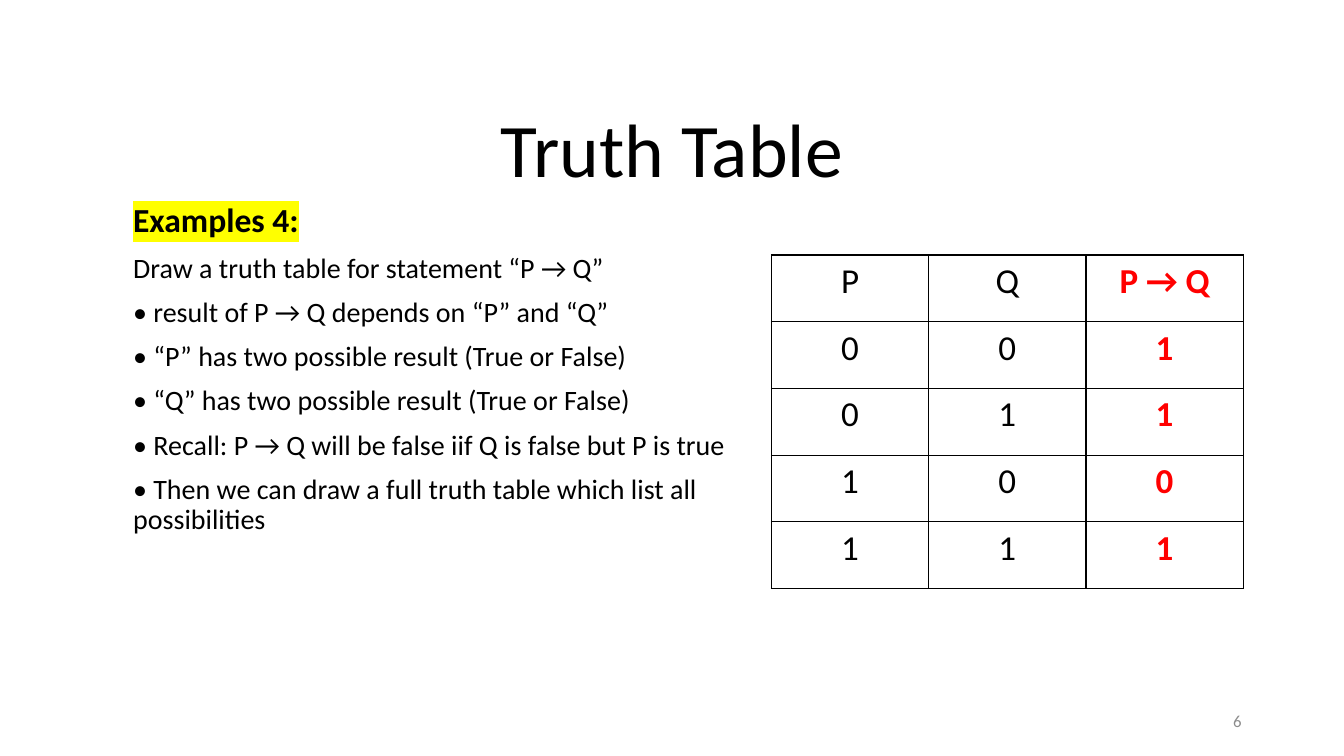
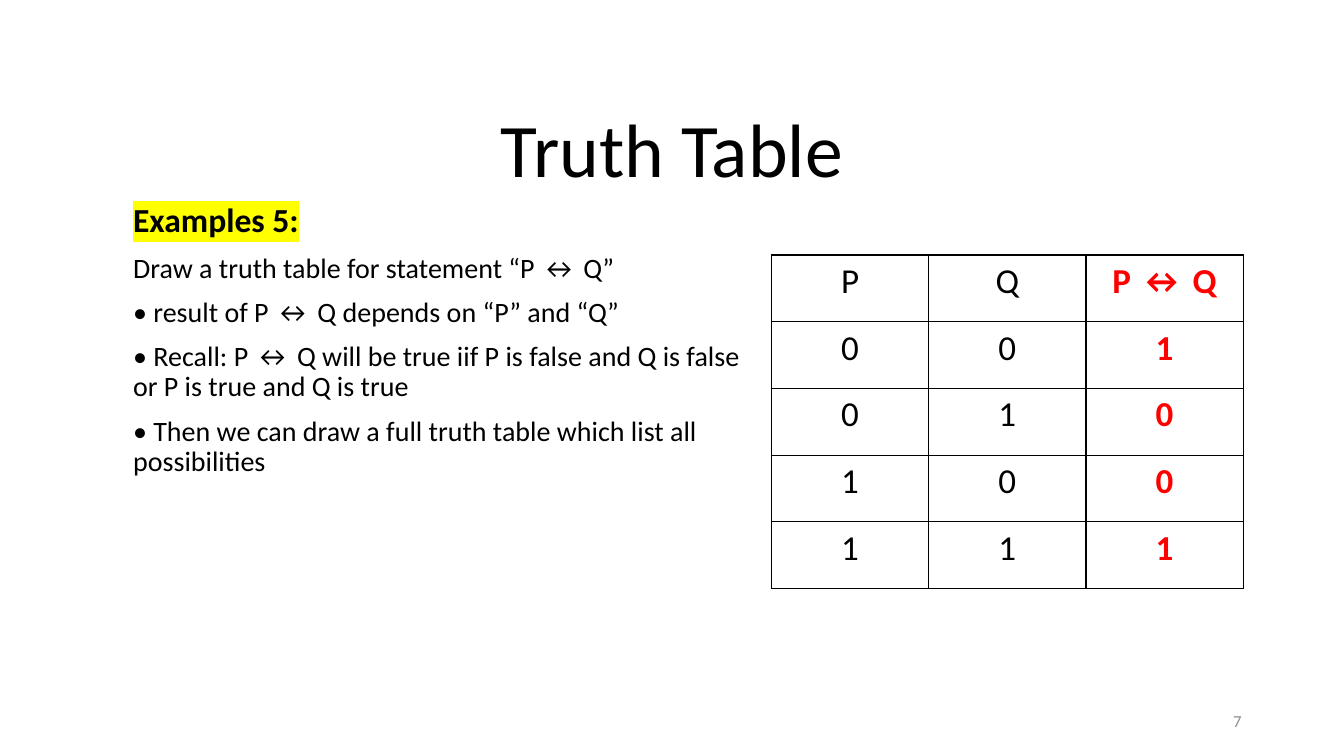
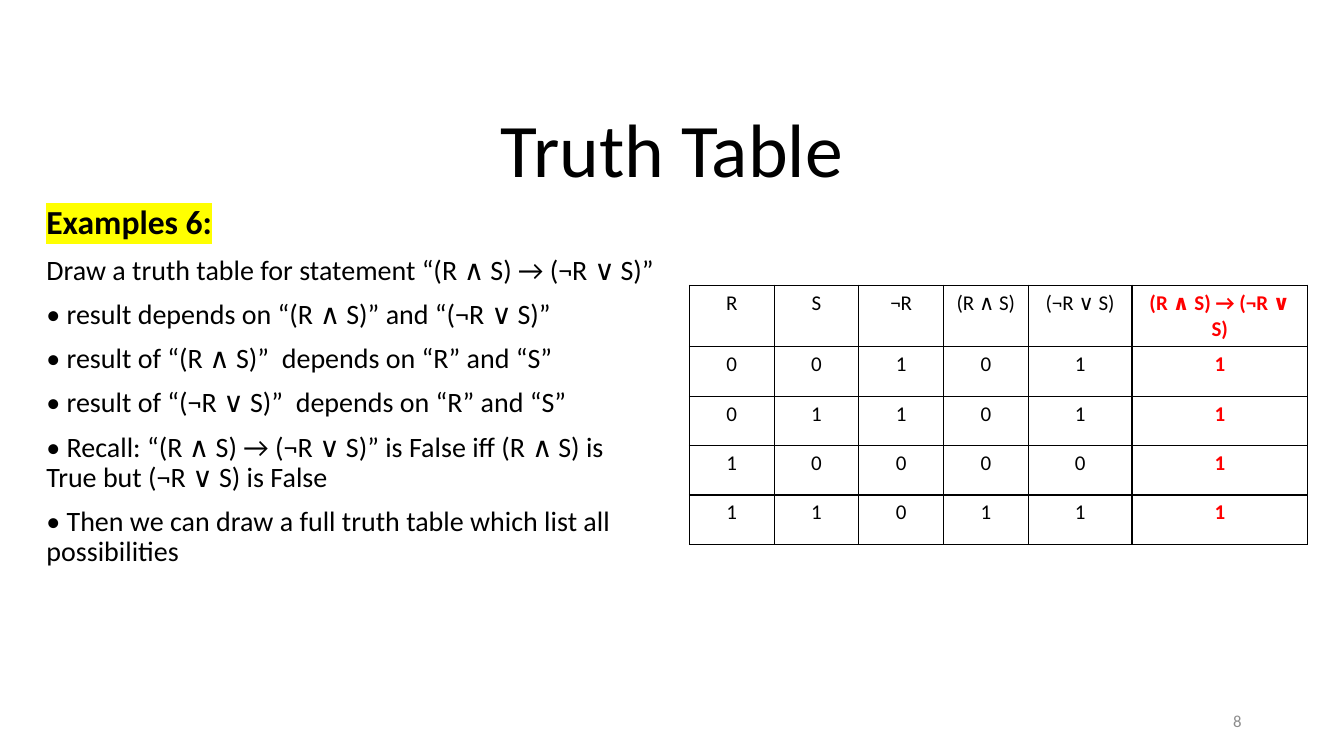
from lxml.etree import SubElement
from pptx import Presentation
from pptx.dml.color import RGBColor
from pptx.enum.text import MSO_ANCHOR, MSO_AUTO_SIZE, PP_ALIGN
from pptx.oxml import parse_xml
from pptx.oxml.ns import nsdecls, qn
from pptx.util import Inches, Pt

WIDTH, HEIGHT = Inches(13.333), Inches(7.5)
FONT = "Calibri"
BLACK = RGBColor(0x00, 0x00, 0x00)
RED = RGBColor(0xFF, 0x00, 0x00)
GREY = RGBColor(0x8C, 0x8C, 0x8C)
YELLOW = RGBColor(0xFF, 0xFF, 0x00)

# Areas are left, top, width, height in percent of the slide.
TITLE_AREA = (12.5, 16.4, 75, 9.87)
NUMBER_AREA = (70.63, 92.67, 22.5, 5.33)
CLOSING = "• Then we can draw a full truth table which list all possibilities"

SIMPLE_LAYOUT = {
    "body_area": (9.15, 26.27, 47.1, 57.33),
    "table_area": (57.4, 33.73, 35.1, 44.13),
    "columns": (1, 1, 1),
    "rows": (1, 1, 1, 1, 1),
    "size": 25,
}
WIDE_LAYOUT = {
    "body_area": (2.7, 26.53, 47.1, 57.33),
    "table_area": (51.3, 37.73, 46, 34.27),
    "columns": (0.84, 0.84, 0.84, 0.84, 1.03, 1.74),
    "rows": (0.61, 0.49, 0.49, 0.49, 0.49),
    "size": 15,
}

EXAMPLES = [
    {
        "number": 4,
        "lines": [
            "Draw a truth table for statement “P → Q”",
            "• result of P → Q depends on “P” and “Q”",
            "• “P” has two possible result (True or False)",
            "• “Q” has two possible result (True or False)",
            "• Recall: P → Q will be false iif Q is false but P is true",
        ],
        "header": ["P", "Q", "P → Q"],
        "values": ["001", "011", "100", "111"],
        "layout": SIMPLE_LAYOUT,
    },
    {
        "number": 5,
        "lines": [
            "Draw a truth table for statement “P ↔ Q”",
            "• result of P ↔ Q depends on “P” and “Q”",
            "• Recall: P ↔ Q will be true iif P is false and Q is false "
            "or P is true and Q is true",
        ],
        "header": ["P", "Q", "P ↔ Q"],
        "values": ["001", "010", "100", "111"],
        "layout": SIMPLE_LAYOUT,
    },
    {
        "number": 6,
        "lines": [
            "Draw a truth table for statement “(R ∧ S) → (¬R ∨ S)”",
            "• result depends on “(R ∧ S)” and “(¬R ∨ S)”",
            "• result of “(R ∧ S)”  depends on “R” and “S”",
            "• result of “(¬R ∨ S)”  depends on “R” and “S”",
            "• Recall: “(R ∧ S) → (¬R ∨ S)” is False iff (R ∧ S) is True "
            "but (¬R ∨ S) is False",
        ],
        "header": ["R", "S", "¬R", "(R ∧ S)", "(¬R ∨ S)", "(R ∧ S) → (¬R ∨ S)"],
        "values": ["001011", "011011", "100001", "110111"],
        "layout": WIDE_LAYOUT,
    },
]


def place(area):
    """Turn percentages of the slide into lengths."""
    return [round(share * side / 100)
            for share, side in zip(area, (WIDTH, HEIGHT, WIDTH, HEIGHT))]


def move(box, area):
    """Put a shape on an area of the slide."""
    box.left, box.top, box.width, box.height = place(area)


def set_frame(frame, anchor):
    """Give a text frame wrapping, a fixed size and an anchor."""
    frame.word_wrap = True
    frame.auto_size = MSO_AUTO_SIZE.NONE
    frame.vertical_anchor = anchor


def add_span(para, text, size, color=BLACK, bold=False):
    """Append one formatted run to a paragraph."""
    span = para.add_run()
    span.text = text
    span.font.name = FONT
    span.font.size = Pt(size)
    span.font.bold = bold
    span.font.color.rgb = color
    return span


def highlight(span, color):
    """Mark a run with a background colour."""
    mark = parse_xml(f'<a:highlight {nsdecls("a")}><a:srgbClr val="{color}"/></a:highlight>')
    span.font._element.find(qn("a:solidFill")).addnext(mark)


def add_title(page):
    """Fill the title placeholder."""
    box = page.shapes.title
    move(box, TITLE_AREA)
    set_frame(box.text_frame, MSO_ANCHOR.BOTTOM)
    para = box.text_frame.paragraphs[0]
    para.alignment = PP_ALIGN.CENTER
    para.line_spacing = 0.9
    add_span(para, "Truth Table", 54)


def add_body(page, heading, lines, area):
    """Fill the body placeholder with a marked heading and its lines."""
    box = page.placeholders[1]
    move(box, area)
    frame = box.text_frame
    set_frame(frame, MSO_ANCHOR.TOP)
    for index, text in enumerate([heading, *lines]):
        para = frame.add_paragraph() if index else frame.paragraphs[0]
        para.alignment = PP_ALIGN.LEFT
        para.line_spacing = 0.9
        para.space_before = Pt(10)
        if index:
            add_span(para, text, 20)
        else:
            highlight(add_span(para, text, 24, bold=True), YELLOW)


def add_borders(cell):
    """Draw a thin black line on each side of a cell."""
    properties = cell._tc.get_or_add_tcPr()
    for index, side in enumerate(("lnL", "lnR", "lnT", "lnB")):
        line = parse_xml(f'<a:{side} {nsdecls("a")} w="{Pt(1)}"/>')
        fill = SubElement(line, qn("a:solidFill"))
        SubElement(fill, qn("a:srgbClr"), val=str(BLACK))
        properties.insert(index, line)


def add_truth_table(page, header, values, layout):
    """Add a bordered table whose last column holds the red results."""
    grid = [header, *values]
    left, top, width, height = place(layout["table_area"])
    table = page.shapes.add_table(len(grid), len(header), left, top, width, height).table
    table.first_row = table.horz_banding = False
    for column, weight in zip(table.columns, layout["columns"]):
        column.width = round(width * weight / sum(layout["columns"]))
    for row, weight in zip(table.rows, layout["rows"]):
        row.height = round(height * weight / sum(layout["rows"]))
    for row, texts in zip(table.rows, grid):
        for index, (cell, text) in enumerate(zip(row.cells, texts)):
            result = index == len(header) - 1
            cell.fill.background()
            add_borders(cell)
            para = cell.text_frame.paragraphs[0]
            para.alignment = PP_ALIGN.CENTER
            add_span(para, text, layout["size"], RED if result else BLACK, result)


def add_page_number(page, number):
    """Write the page number at the lower right."""
    box = page.shapes.add_textbox(*place(NUMBER_AREA))
    set_frame(box.text_frame, MSO_ANCHOR.MIDDLE)
    para = box.text_frame.paragraphs[0]
    para.alignment = PP_ALIGN.RIGHT
    add_span(para, str(number), 12, GREY)


def main():
    """Build one page for each example and save the deck."""
    deck = Presentation()
    deck.slide_width, deck.slide_height = WIDTH, HEIGHT
    for page_number, example in enumerate(EXAMPLES, start=6):
        page = deck.slides.add_slide(deck.slide_layouts[0])
        layout = example["layout"]
        add_title(page)
        add_body(page, f"Examples {example['number']}:",
                 [*example["lines"], CLOSING], layout["body_area"])
        add_truth_table(page, example["header"], example["values"], layout)
        add_page_number(page, page_number)
    deck.save("out.pptx")


main()
